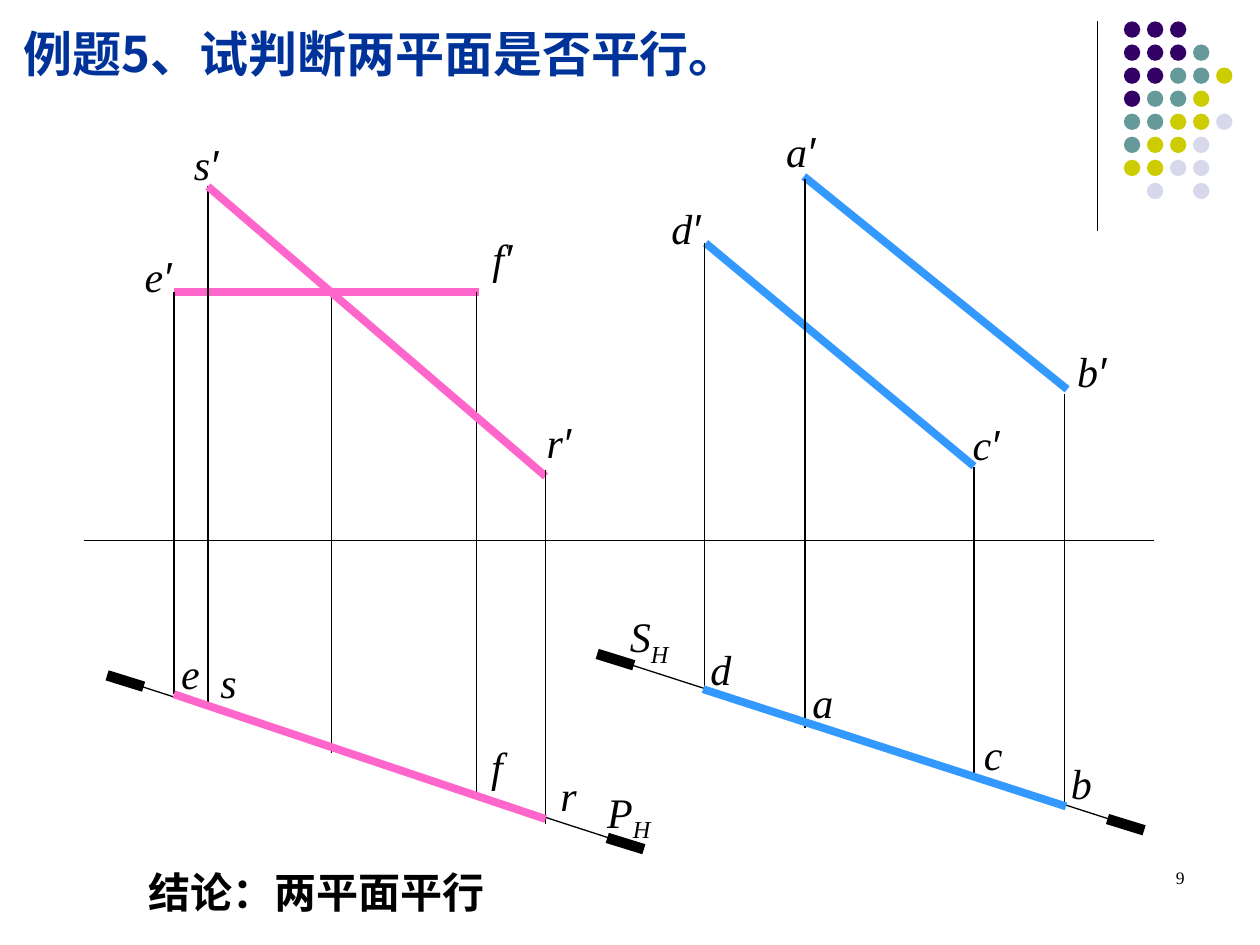
from lxml.etree import SubElement
from pptx import Presentation
from pptx.dml.color import RGBColor
from pptx.enum.shapes import MSO_CONNECTOR, MSO_SHAPE
from pptx.enum.text import MSO_ANCHOR, MSO_AUTO_SIZE, PP_ALIGN
from pptx.oxml.ns import qn
from pptx.util import Inches, Pt

BLACK = RGBColor(0x00, 0x00, 0x00)
NAVY = RGBColor(0x00, 0x33, 0x99)
PINK = RGBColor(0xFF, 0x66, 0xCC)
BLUE = RGBColor(0x33, 0x99, 0xFF)
DOT_COLORS = {
    "P": RGBColor(0x33, 0x00, 0x66),
    "T": RGBColor(0x66, 0x99, 0x99),
    "Y": RGBColor(0xCC, 0xCC, 0x00),
    "L": RGBColor(0xD8, 0xD8, 0xEC),
}
CJK, SERIF, SANS = "Noto Sans CJK SC", "Times New Roman", "Arial"
THIN, EDGE, MARK = 0.75, 4.5, 6

TITLE = "例题5、试判断两平面是否平行。"
CONCLUSION = "结论：两平面平行"
PAGE_NUMBER = "9"

# Corner ornament: one letter per dot, a point where there is none
DOT_ROWS = ["PPP..", "PPPT.", "PPTTY", "PTTY.", "TTYYL", "TYYL.", "YYLL.", ".L.L."]
DOT_LEFT, DOT_TOP, DOT_PITCH, DOT_SIZE = 8.92, 0.17, 0.183, 0.13

# Trace of each plane: left end, right end
TRACES = [((0.85, 5.36), (5.11, 6.74)), ((4.74, 5.19), (9.08, 6.59))]
MARK_RUN, MARK_DROP = 0.29, 0.09

AXIS = ((0.67, 4.29), (9.16, 4.29))

# Projection lines: x, top, bottom
PLANE_P_PROJECTORS = [(1.38, 2.32, 5.51), (3.78, 2.32, 6.35), (1.65, 1.48, 5.6)]
CROSSING_PROJECTOR = (2.63, 2.32, 5.98)
PLANE_S_PROJECTORS = [(4.33, 3.73, 6.54), (5.59, 1.93, 5.49), (7.73, 3.71, 6.17),
                      (6.39, 1.42, 5.78), (8.45, 3.13, 6.43)]

# Coloured edges: start, end, colour
EDGE_EF = ((1.38, 2.32), (3.8, 2.32), PINK)
UPPER_EDGES = [((1.65, 1.48), (4.33, 3.78), PINK),
               ((5.6, 1.93), (7.73, 3.7), BLUE),
               ((6.38, 1.4), (8.47, 3.09), BLUE)]
LOWER_EDGES = [((5.58, 5.47), (8.46, 6.4), BLUE),
               ((1.38, 5.51), (4.33, 6.5), PINK)]

# Point labels: letter, then left and top of its box
FRONT_LABELS = [("s", 1.44, 1.05), ("e", 1.05, 1.94), ("f", 3.81, 1.8), ("r", 4.24, 3.26),
                ("a", 6.14, 0.95), ("d", 5.23, 1.56), ("b", 8.45, 2.69), ("c", 7.62, 3.27)]
PLAN_LABELS = [("e", 1.34, 5.09), ("s", 1.65, 5.16), ("f", 3.8, 5.83), ("r", 4.35, 6.06),
               ("d", 5.54, 5.06), ("a", 6.35, 5.32), ("c", 7.71, 5.73), ("b", 8.4, 5.96)]
TRACE_LABELS = [("P", 4.72, 6.19), ("S", 4.9, 4.8)]


def draw_line(start, end, color=BLACK, width=THIN):
    line = slide.shapes.add_connector(
        MSO_CONNECTOR.STRAIGHT, *(Inches(v) for v in (*start, *end)))
    line.line.color.rgb = color
    line.line.width = Pt(width)
    SubElement(line._element.spPr, qn("a:effectLst"))


def draw_projectors(projectors):
    for x, top, bottom in projectors:
        draw_line((x, top), (x, bottom))


def style(paragraph, size, font, color=BLACK, bold=False, italic=False):
    paragraph.font.size = Pt(size)
    paragraph.font.name = font
    paragraph.font.color.rgb = color
    paragraph.font.bold = bold
    paragraph.font.italic = italic
    defaults = paragraph._p.pPr.find(qn("a:defRPr"))
    SubElement(defaults, qn("a:ea")).set("typeface", font)


def add_text(text, left, top, width, height=0.5):
    box = slide.shapes.add_textbox(*(Inches(v) for v in (left, top, width, height)))
    box.text_frame.word_wrap = True
    paragraph = box.text_frame.paragraphs[0]
    paragraph.add_run().text = text
    return paragraph


def add_label(letter, left, top, width=0.72):
    paragraph = add_text(letter, left, top, width)
    style(paragraph, 24, SERIF, italic=True)
    return paragraph


prs = Presentation()
prs.slide_width, prs.slide_height = Inches(10), Inches(7.5)
slide = prs.slides.add_slide(prs.slide_layouts[5])

# Title
title = slide.shapes.title
title.left, title.top, title.width, title.height = (
    Inches(v) for v in (0.09, 0.14, 6.05, 0.57))
title.text_frame.text = TITLE
title.text_frame.word_wrap = False
title.text_frame.auto_size = MSO_AUTO_SIZE.NONE
title.text_frame.vertical_anchor = MSO_ANCHOR.TOP
heading = title.text_frame.paragraphs[0]
heading.alignment = PP_ALIGN.LEFT
style(heading, 28, CJK, NAVY, bold=True)

# Corner ornament
draw_line((8.71, 0.17), (8.71, 1.83))
for row, letters in enumerate(DOT_ROWS):
    for column, letter in enumerate(letters):
        if letter in DOT_COLORS:
            dot = slide.shapes.add_shape(
                MSO_SHAPE.OVAL,
                Inches(DOT_LEFT + column * DOT_PITCH), Inches(DOT_TOP + row * DOT_PITCH),
                Inches(DOT_SIZE), Inches(DOT_SIZE))
            dot.shadow.inherit = False
            dot.fill.solid()
            dot.fill.fore_color.rgb = DOT_COLORS[letter]
            dot.line.fill.background()

# Axis, and traces with a heavy mark at each end
draw_line(*AXIS)
for start, end in TRACES:
    draw_line(start, end)
    draw_line(start, (start[0] + MARK_RUN, start[1] + MARK_DROP), width=MARK)
    draw_line(end, (end[0] - MARK_RUN, end[1] - MARK_DROP), width=MARK)

# Projections of both planes, from back to front
draw_projectors([CROSSING_PROJECTOR])
draw_line(*EDGE_EF, EDGE)
draw_projectors(PLANE_P_PROJECTORS)
for edge in UPPER_EDGES:
    draw_line(*edge, EDGE)
draw_projectors(PLANE_S_PROJECTORS)
for edge in LOWER_EDGES:
    draw_line(*edge, EDGE)

# Labels
for letter, left, top in FRONT_LABELS:
    prime = add_label(letter, left, top).add_run()
    prime.text = "′"
    prime.font.name = SANS
    SubElement(prime.font._element, qn("a:ea")).set("typeface", SANS)
for letter, left, top in PLAN_LABELS:
    add_label(letter, left, top, 0.47)
for letter, left, top in TRACE_LABELS:
    subscript = add_label(letter, left, top, 1.08).add_run()
    subscript.text = "H"
    subscript.font._element.set("baseline", "-25000")

# Conclusion and page number
style(add_text(CONCLUSION, 1.08, 6.83, 3.85), 24, CJK, bold=True)
page = add_text(PAGE_NUMBER, 7.17, 6.83, 2.33)
page.alignment = PP_ALIGN.RIGHT
style(page, 10, SERIF)

prs.save("out.pptx")
